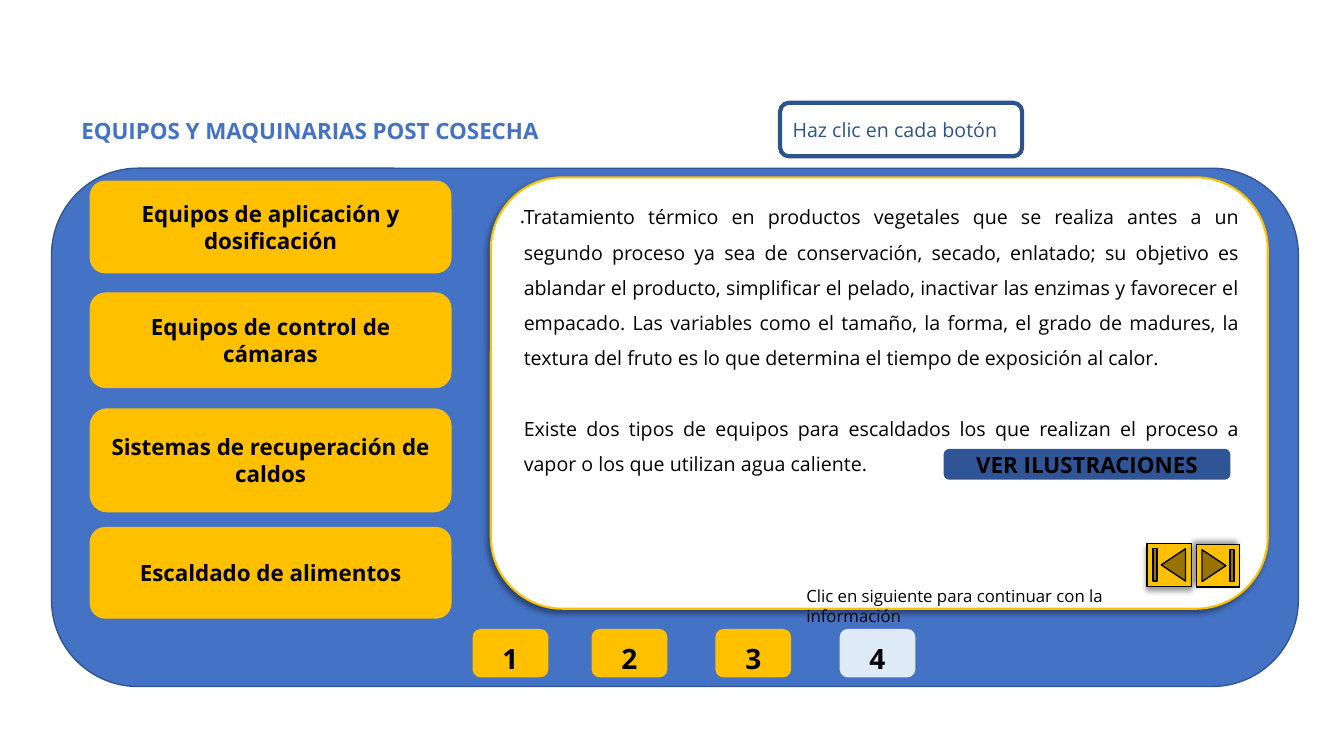
"""Build the slide on post-harvest equipment, with its menu, reading panel and page buttons."""
import pptx
import pptx.dml.color
import pptx.enum.shapes
import pptx.enum.text
import pptx.oxml
import pptx.oxml.ns
import pptx.util

Cm = pptx.util.Cm
Pt = pptx.util.Pt
RGBColor = pptx.dml.color.RGBColor
SHAPE = pptx.enum.shapes.MSO_SHAPE
ALIGN = pptx.enum.text.PP_ALIGN
ANCHOR = pptx.enum.text.MSO_ANCHOR

BLUE = RGBColor(0x44, 0x72, 0xC4)
EDGE_BLUE = RGBColor(0x32, 0x54, 0x91)
HINT_BLUE = RGBColor(0x2C, 0x53, 0x8E)
DARK_BLUE = RGBColor(0x2F, 0x55, 0x97)
PALE_BLUE = RGBColor(0xDE, 0xEB, 0xF7)
GOLD = RGBColor(0xFF, 0xC0, 0x00)
WHITE = RGBColor(0xFF, 0xFF, 0xFF)
BLACK = RGBColor(0x00, 0x00, 0x00)

deck = pptx.Presentation()
deck.slide_width = Cm(33.87)
deck.slide_height = Cm(19.05)
page = deck.slides.add_slide(deck.slide_layouts[6])


def add_panel(kind, left, top, width, height, fill=None, line=None, weight=1, shadow_angle=None):
    panel = page.shapes.add_shape(kind, Cm(left), Cm(top), Cm(width), Cm(height))
    panel.shadow.inherit = False
    if fill is None:
        panel.fill.background()
    else:
        panel.fill.solid()
        panel.fill.fore_color.rgb = fill
    if line is None:
        panel.line.fill.background()
    else:
        panel.line.color.rgb = line
        panel.line.width = Pt(weight)
    if shadow_angle is not None:
        effects = panel.element.spPr.find(pptx.oxml.ns.qn("a:effectLst"))
        effects.append(pptx.oxml.parse_xml(
            f'<a:outerShdw {pptx.oxml.ns.nsdecls("a")} blurRad="{Pt(4)}" dist="{Pt(3)}" '
            f'dir="{shadow_angle * 60000}" algn="ctr" rotWithShape="0">'
            '<a:srgbClr val="000000"><a:alpha val="40000"/></a:srgbClr></a:outerShdw>'))
    return panel


def write_text(box, *texts, size, color=BLACK, bold=False, align=ALIGN.LEFT,
               anchor=ANCHOR.TOP, spacing=1.0, gap=0):
    frame = box.text_frame
    frame.word_wrap = True
    frame.vertical_anchor = anchor
    for index, text in enumerate(texts):
        para = frame.add_paragraph() if index else frame.paragraphs[0]
        para.alignment = align
        para.line_spacing = spacing
        if index:
            para.space_before = Pt(gap)
        span = para.add_run()
        span.text = text
        span.font.name = "Open Sans"
        span.font.size = Pt(size)
        span.font.bold = bold
        span.font.color.rgb = color


add_panel(SHAPE.ROUNDED_RECTANGLE, 1.3, 4.24, 31.42, 13.06, BLUE, EDGE_BLUE)

title = page.shapes.add_textbox(Cm(1.8), Cm(2.44), Cm(17.86), Cm(1.32))
write_text(title, "EQUIPOS Y MAQUINARIAS POST COSECHA", size=16, color=BLUE, bold=True,
           anchor=ANCHOR.BOTTOM)

menu = [
    ("Equipos de aplicación y dosificación", 4.55, 2.34),
    ("Equipos de control de cámaras", 7.37, 2.41),
    ("Sistemas de recuperación de caldos", 10.29, 2.62),
    ("Escaldado de alimentos", 13.28, 2.31),
]
for label, top, height in menu:
    button = add_panel(SHAPE.ROUNDED_RECTANGLE, 2.26, top, 9.12, height, GOLD)
    write_text(button, label, size=16, bold=True, align=ALIGN.CENTER, anchor=ANCHOR.MIDDLE)

page_buttons = [("1", 11.91, GOLD), ("2", 14.91, GOLD), ("3", 18.03, GOLD), ("4", 21.16, PALE_BLUE)]
for number, left, fill in page_buttons:
    button = add_panel(SHAPE.ROUNDED_RECTANGLE, left, 15.85, 1.91, 1.22, fill)
    button.text_frame.margin_top = Cm(0.25)
    button.text_frame.margin_bottom = Cm(0)
    write_text(button, number, size=20, bold=True, align=ALIGN.CENTER, anchor=ANCHOR.MIDDLE)

hint = add_panel(SHAPE.ROUNDED_RECTANGLE, 19.66, 2.59, 6.1, 1.35, line=HINT_BLUE, weight=3)
write_text(hint, "Haz clic en cada botón", size=14, color=HINT_BLUE, align=ALIGN.JUSTIFY,
           anchor=ANCHOR.MIDDLE)

add_panel(SHAPE.ROUNDED_RECTANGLE, 12.37, 4.47, 19.58, 10.87, WHITE, GOLD, 1.5, shadow_angle=135)
add_panel(SHAPE.ACTION_BUTTON_BEGINNING, 28.91, 13.69, 1.12, 1.09, GOLD, BLACK, shadow_angle=90)

next_note = page.shapes.add_textbox(Cm(20.07), Cm(14.63), Cm(10.06), Cm(0.76))
write_text(next_note, "Clic en siguiente para continuar con la información", size=12)

add_panel(SHAPE.ACTION_BUTTON_END, 30.15, 13.72, 1.09, 1.07, GOLD, BLACK, shadow_angle=225)

dot = page.shapes.add_textbox(Cm(12.85), Cm(4.72), Cm(18.64), Cm(2.82))
write_text(dot, ".", size=14, align=ALIGN.JUSTIFY, spacing=1.5)

pictures_button = add_panel(SHAPE.ROUNDED_RECTANGLE, 23.8, 11.33, 7.19, 0.74, DARK_BLUE, EDGE_BLUE)
write_text(pictures_button, "VER ILUSTRACIONES", size=16, bold=True, align=ALIGN.CENTER,
           anchor=ANCHOR.MIDDLE)

reading = page.shapes.add_textbox(Cm(12.95), Cm(4.75), Cm(18.54), Cm(6.53))
write_text(
    reading,
    "Tratamiento térmico en productos vegetales que se realiza antes a un segundo proceso ya sea de "
    "conservación, secado, enlatado; su objetivo es ablandar el producto, simplificar el pelado, "
    "inactivar las enzimas y favorecer el empacado. Las variables como el tamaño, la forma, el grado "
    "de madures, la textura del fruto es lo que determina el tiempo de exposición al calor.",
    "Existe dos tipos de equipos para escaldados los que realizan el proceso a vapor o los que "
    "utilizan agua caliente.",
    size=14, align=ALIGN.JUSTIFY, spacing=1.5, gap=25)

deck.save("out.pptx")
